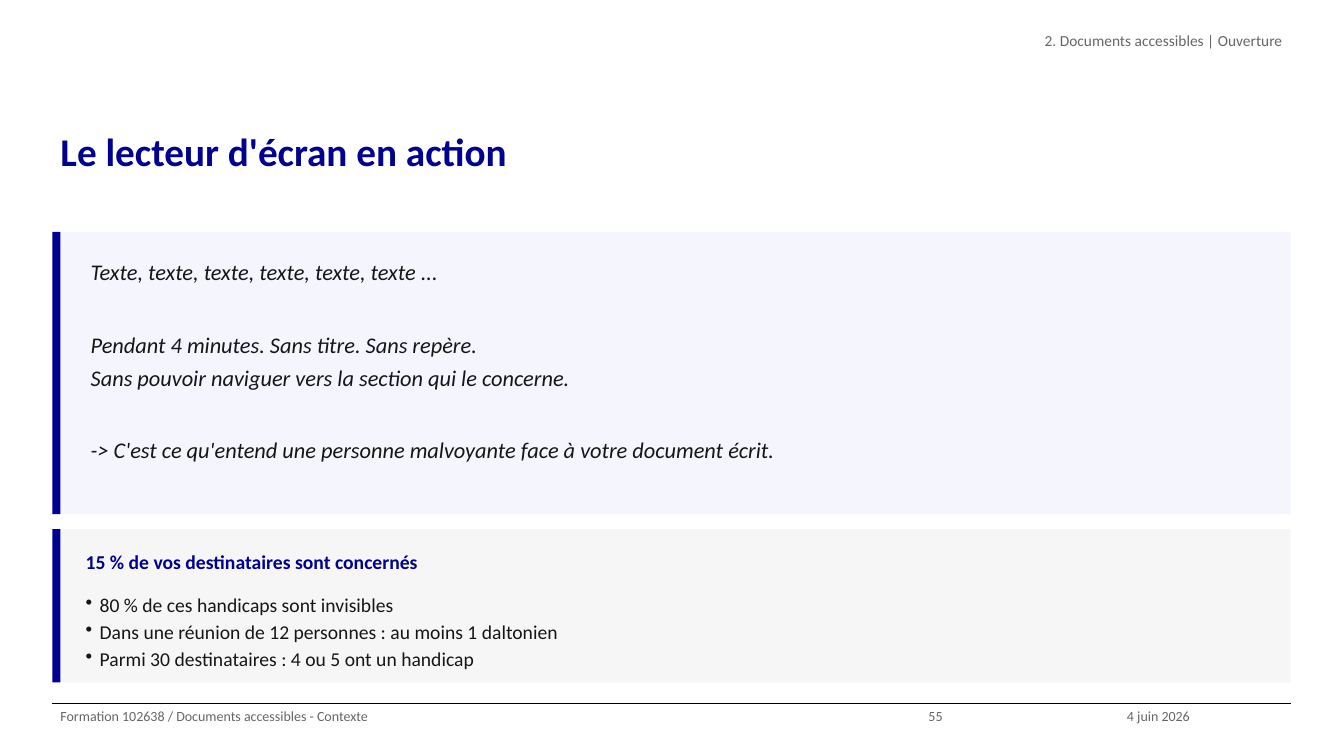
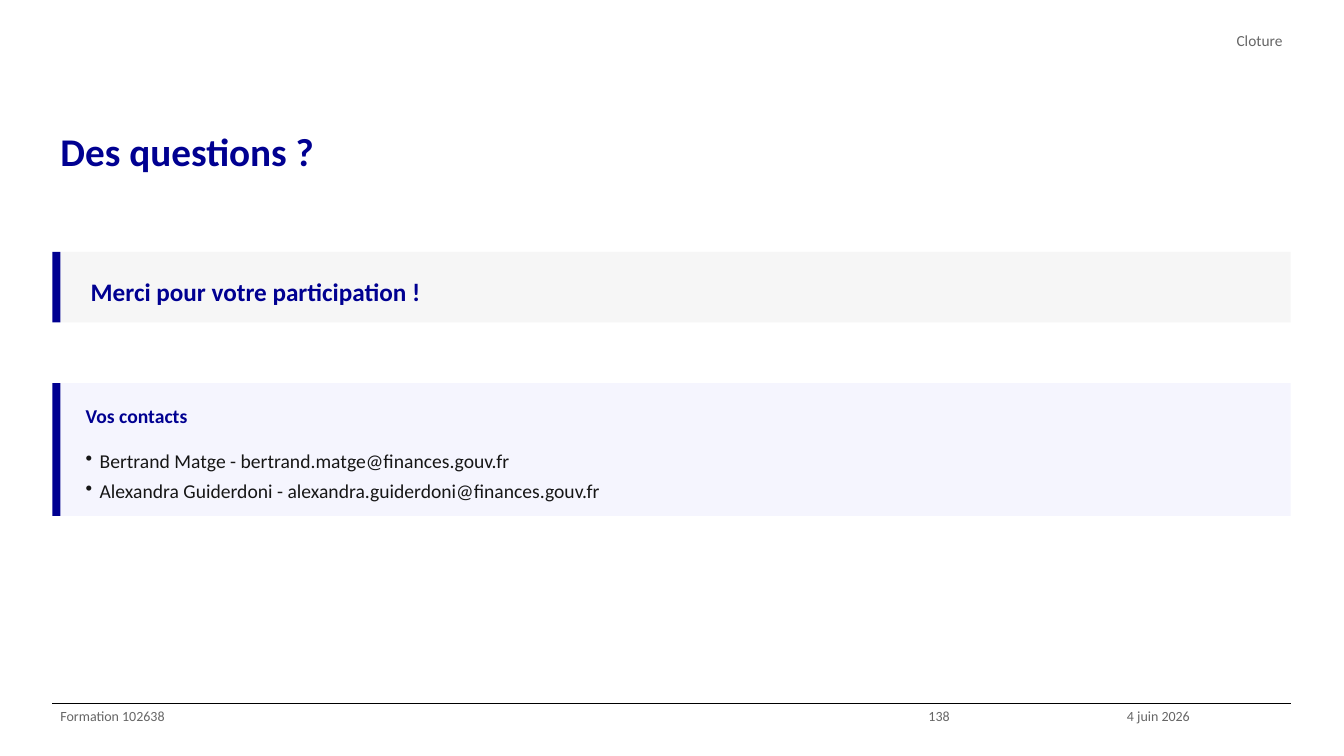
from dataclasses import dataclass

from lxml import etree
from pptx import Presentation
from pptx.dml.color import RGBColor
from pptx.enum import shapes, text
from pptx.oxml import ns
from pptx.util import Pt


@dataclass(frozen=True)
class Theme:
    font: str = "Calibri"
    blue: str = "000091"
    ink: str = "161616"
    grey: str = "666666"
    rule: str = "000000"
    pale: str = "F5F5FE"
    fog: str = "F6F6F6"
    title: int = 28
    lead: int = 18
    quote: int = 16
    body: int = 14
    head: int = 11
    foot: int = 10
    space: float = 1.25
    left: float = 37.4
    right: float = 922
    bar: float = 5.8
    inset: float = 5.8
    base: float = 502.6


class Deck:
    def __init__(self, theme):
        self.theme = theme
        self.prs = Presentation()
        self.prs.slide_width, self.prs.slide_height = Pt(960), Pt(540)
        self.slide = None

    def frame(self, shape, pad=0, anchor=text.MSO_ANCHOR.TOP):
        frame = shape.text_frame
        frame.word_wrap = True
        frame.auto_size = text.MSO_AUTO_SIZE.NONE
        frame.vertical_anchor = anchor
        frame.margin_left = frame.margin_right = Pt(self.theme.inset)
        frame.margin_top = frame.margin_bottom = Pt(pad)
        return frame

    def phrase(self, para, words, size, color, bold=False, italic=False,
               align=text.PP_ALIGN.LEFT, space=None):
        para.alignment = align
        para.line_spacing = space or self.theme.space
        run = para.add_run()
        run.text = words
        font = run.font
        font.name, font.size = self.theme.font, Pt(size)
        font.bold, font.italic = bold, italic
        font.color.rgb = RGBColor.from_string(color)

    def box(self, left, top, width, height, pad=3.6, anchor=text.MSO_ANCHOR.TOP):
        shape = self.slide.shapes.add_textbox(
            Pt(left), Pt(top), Pt(width), Pt(height))
        return self.frame(shape, pad, anchor)

    def label(self, words, left, top, width, height, size, color, pad=0, **style):
        frame = self.box(left, top, width, height, pad)
        self.phrase(frame.paragraphs[0], words, size, color, **style)

    def rect(self, left, top, width, height, color):
        shape = self.slide.shapes.add_shape(
            shapes.MSO_SHAPE.RECTANGLE, Pt(left), Pt(top), Pt(width), Pt(height))
        shape.shadow.inherit = False
        shape.fill.solid()
        shape.fill.fore_color.rgb = RGBColor.from_string(color)
        shape.line.fill.background()

    def line(self):
        t = self.theme
        line = self.slide.shapes.add_connector(
            shapes.MSO_CONNECTOR.STRAIGHT,
            Pt(t.left), Pt(t.base), Pt(t.right), Pt(t.base))
        line.line.width = Pt(0.8)
        line.line.color.rgb = RGBColor.from_string(t.rule)
        props = line._element.find(ns.qn("p:spPr"))
        etree.SubElement(props, ns.qn("a:effectLst"))

    def page(self, title, topic, course, number):
        t = self.theme
        self.slide = self.prs.slides.add_slide(self.prs.slide_layouts[5])
        self.line()
        shape = self.slide.shapes.title
        shape.left, shape.top = Pt(t.left), Pt(82.8)
        shape.width, shape.height = Pt(t.right - t.left), Pt(75.6)
        para = self.frame(shape).paragraphs[0]
        self.phrase(para, title, t.title, t.blue, bold=True)
        self.label(topic, 348, 18.7, t.right - 348, 37.4, t.head, t.grey,
                   align=text.PP_ALIGN.RIGHT)
        stops = (t.left, 657.4, 799.2, t.right)
        for words, start, end in zip((course, number, "4 juin 2026"), stops, stops[1:]):
            self.label(words, start, t.base, end - start, 37.4, t.foot, t.grey)

    def card(self, top, height, color):
        t = self.theme
        start = t.left + t.bar
        self.rect(start, top, t.right - start, height, color)
        self.rect(t.left, top, t.bar, height, t.blue)

    def quote(self, top, height, groups):
        t = self.theme
        self.card(top, height, t.pale)
        frame = self.box(59, top + 10.8, 855.4, height - 21.6)
        para = frame.paragraphs[0]
        for group in groups:
            for row, words in enumerate(group):
                if para.runs:
                    para = frame.add_paragraph()
                    para.space_before = Pt(0 if row else 27.5)
                self.phrase(para, words, t.quote, t.ink, italic=True)

    def banner(self, top, height, words):
        t = self.theme
        self.card(top, height, t.fog)
        frame = self.box(59, top + 7.2, 855.4, height - 14.4,
                         anchor=text.MSO_ANCHOR.MIDDLE)
        self.phrase(frame.paragraphs[0], words, t.lead, t.blue, bold=True)

    def points(self, top, height, color, head, items, space=None):
        t = self.theme
        self.card(top, height, color)
        self.label(head, 55.4, top + 7.2, 859, 25.2, t.body, t.blue,
                   pad=3.6, bold=True)
        frame = self.box(55.4, top + 39.6, 859, height - 46.8)
        for row, words in enumerate(items):
            para = frame.add_paragraph() if row else frame.paragraphs[0]
            props = para._p.get_or_add_pPr()
            props.set("marL", str(Pt(10)))
            props.set("indent", str(-Pt(10)))
            etree.SubElement(props, ns.qn("a:buChar"), char="•")
            self.phrase(para, words, t.body, t.ink, space=space)


def main():
    theme = Theme()
    deck = Deck(theme)

    deck.page("Le lecteur d'écran en action", "2. Documents accessibles | Ouverture",
              "Formation 102638 / Documents accessibles - Contexte", "55")
    deck.quote(165.6, 201.6, (
        ("Texte, texte, texte, texte, texte, texte ...",),
        ("Pendant 4 minutes. Sans titre. Sans repère.",
         "Sans pouvoir naviguer vers la section qui le concerne."),
        ("-> C'est ce qu'entend une personne malvoyante face à votre document écrit.",),
    ))
    deck.points(378, 109.4, theme.fog, "15 % de vos destinataires sont concernés", (
        "80 % de ces handicaps sont invisibles",
        "Dans une réunion de 12 personnes : au moins 1 daltonien",
        "Parmi 30 destinataires : 4 ou 5 ont un handicap",
    ), space=1.15)

    deck.page("Des questions ?", "Cloture", "Formation 102638", "138")
    deck.banner(180, 50.4, "Merci pour votre participation !")
    deck.points(273.6, 95, theme.pale, "Vos contacts", (
        "Bertrand Matge - bertrand.matge@finances.gouv.fr",
        "Alexandra Guiderdoni - alexandra.guiderdoni@finances.gouv.fr",
    ))

    deck.prs.save("out.pptx")


if __name__ == "__main__":
    main()
